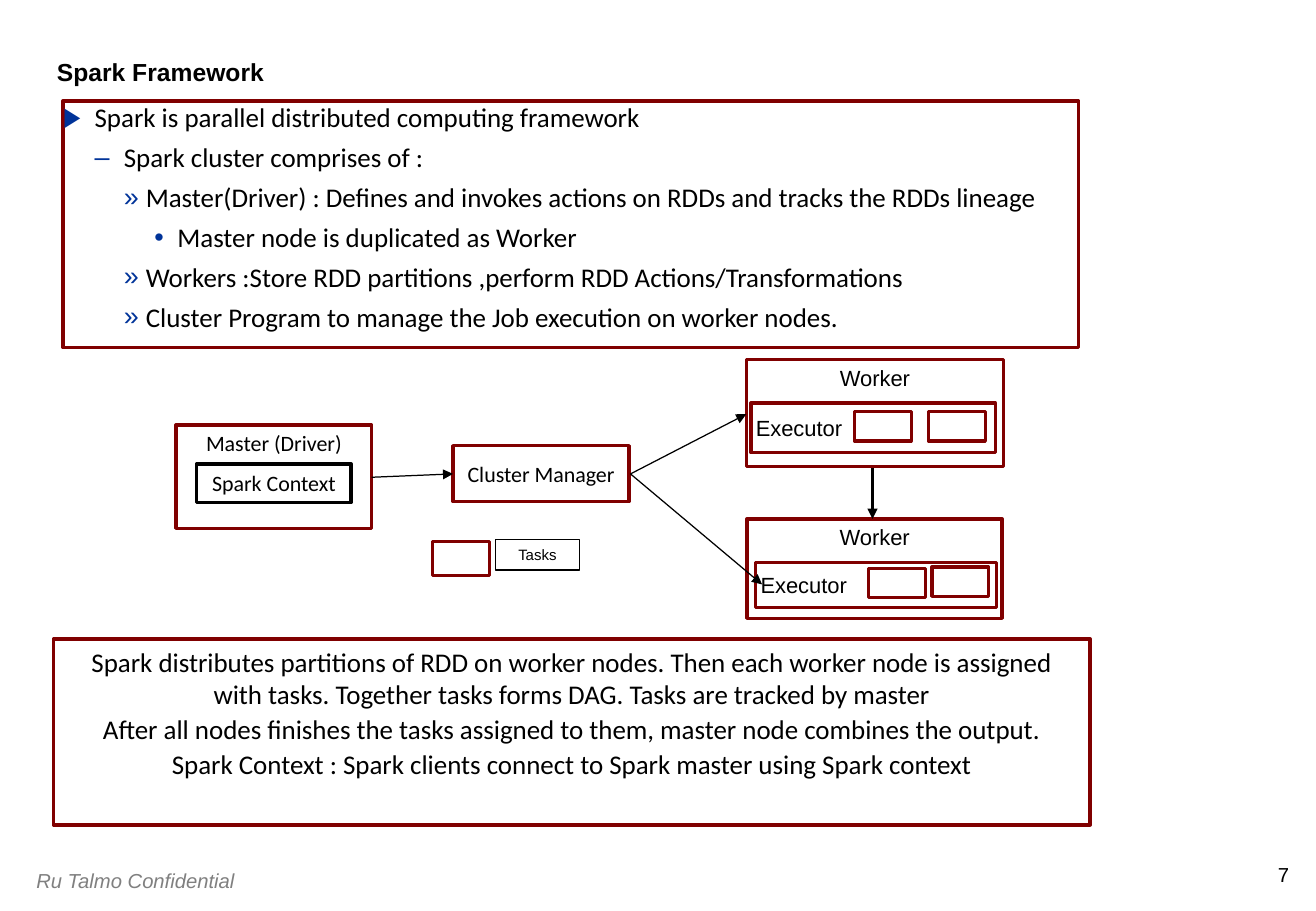
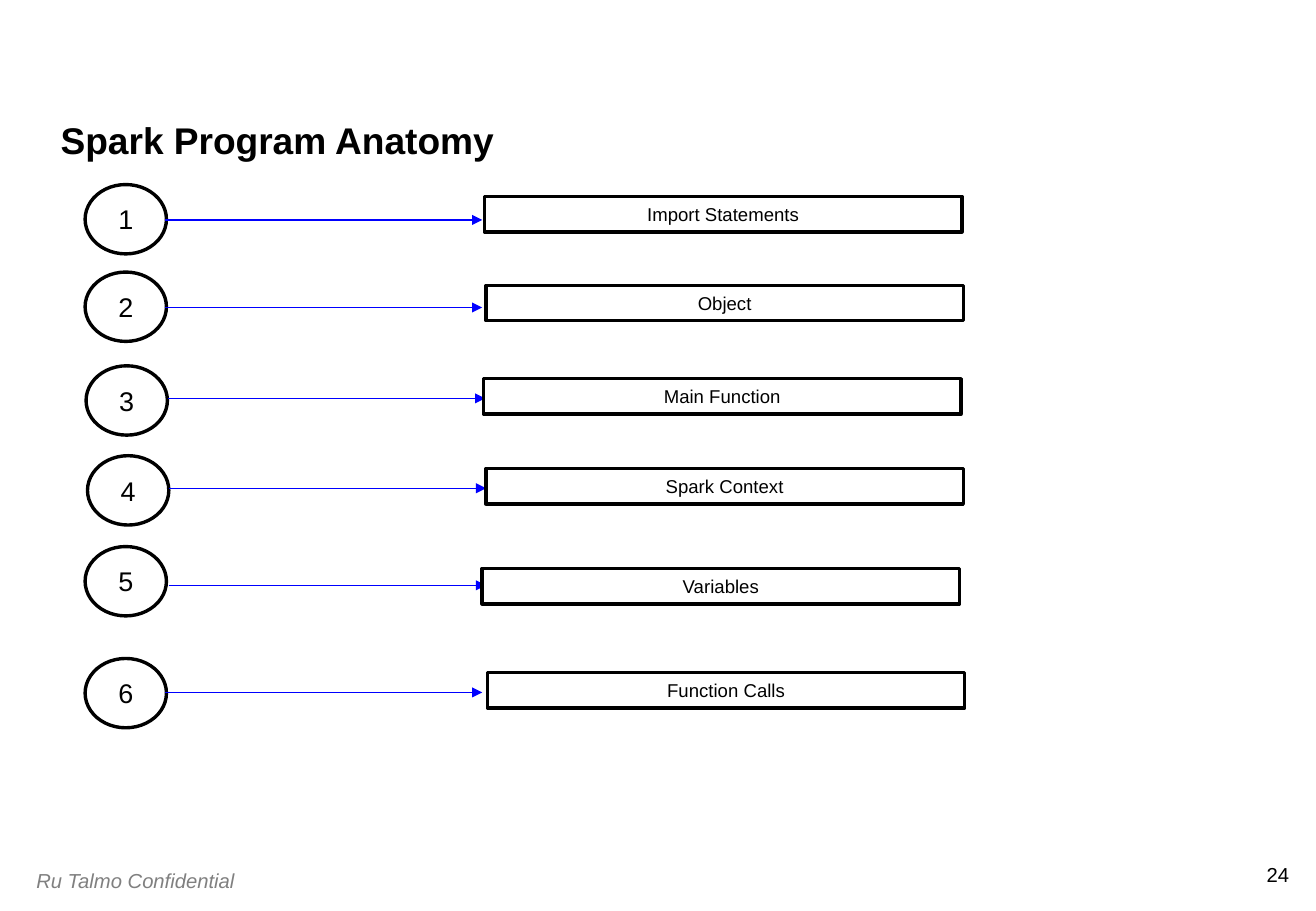
from lxml.etree import SubElement
from pptx import Presentation
from pptx.dml.color import RGBColor
from pptx.enum.shapes import MSO_CONNECTOR, MSO_SHAPE as Kind
from pptx.enum.text import MSO_ANCHOR as Anchor, PP_ALIGN as Align
from pptx.oxml.ns import qn
from pptx.util import Cm, Pt

BLACK = RGBColor(0x00, 0x00, 0x00)
WHITE = RGBColor(0xFF, 0xFF, 0xFF)
GREY = RGBColor(0x80, 0x80, 0x80)
MAROON = RGBColor(0x80, 0x00, 0x00)
BLUE = RGBColor(0x00, 0x00, 0xFF)
NAVY = RGBColor(0x00, 0x33, 0x99)


def put(slide, box, *text, kind=None, fill=WHITE, line=MAROON, width=2,
        size=13, font="Arial", color=BLACK, bold=False, italic=False,
        align=Align.CENTER, anchor=Anchor.TOP, pad=(0.1, 0.1),
        before=0, lead=1.0):
    """Place a text box, or a shape of the given kind, one paragraph per text."""
    place = [Cm(v) for v in box]
    if kind is None:
        shape = slide.shapes.add_textbox(*place)
    else:
        shape = slide.shapes.add_shape(kind, *place)
        shape.shadow.inherit = False
        if fill is None:
            shape.fill.background()
        else:
            shape.fill.solid()
            shape.fill.fore_color.rgb = fill
        shape.line.color.rgb = line
        shape.line.width = Pt(width)
    frame = shape.text_frame
    frame.word_wrap = True
    frame.vertical_anchor = anchor
    frame.margin_left = frame.margin_right = Cm(pad[0])
    frame.margin_top = frame.margin_bottom = Cm(pad[1])
    for i, words in enumerate(text):
        para = frame.add_paragraph() if i else frame.paragraphs[0]
        para.alignment = align
        para.line_spacing = lead
        para.space_before = Pt(before if i else 0)
        run = para.add_run()
        run.text = words
        run.font.size = Pt(size)
        run.font.name = font
        run.font.bold = bold
        run.font.italic = italic
        run.font.color.rgb = color
    return shape


def arrow(slide, start, end, color=BLACK, width=0.75):
    ends = [Cm(v) for v in (*start, *end)]
    link = slide.shapes.add_connector(MSO_CONNECTOR.STRAIGHT, *ends)
    link.line.color.rgb = color
    link.line.width = Pt(width)
    SubElement(link.line._get_or_add_ln(), qn("a:tailEnd"), type="triangle")
    SubElement(link._element.spPr, qn("a:effectLst"))


deck = Presentation()
deck.slide_width, deck.slide_height = Cm(27.51), Cm(19.05)

# Title, footer and page number
heads = [
    ("Spark Framework", 14.6, (1.19, 1.27, 20.27, 1.04), Anchor.TOP, "7"),
    ("Spark Program Anatomy", 22, (1.27, 1.07, 24.97, 2.34), Anchor.BOTTOM, "24"),
]
for title, size, box, anchor, page in heads:
    slide = deck.slides.add_slide(deck.slide_layouts[6])
    put(slide, (26.42, 18.03, 0.53, 0.51), page, size=12, align=Align.RIGHT,
        pad=(0, 0))
    put(slide, (0.51, 18.03, 5.08, 0.76), "Ru Talmo Confidential", size=12,
        color=GREY, italic=True, align=Align.LEFT, pad=(0.25, 0.13))
    put(slide, box, title, size=size, bold=True, align=Align.LEFT,
        anchor=anchor, pad=(0, 0), lead=0.9)
frame, steps = deck.slides

# Spark Framework: bullets
points = [
    (0, "Spark is parallel distributed computing framework"),
    (1, "Spark cluster comprises of :"),
    (2, "Master(Driver) : Defines and invokes actions on RDDs and tracks the RDDs lineage"),
    (3, "Master node is duplicated as Worker"),
    (2, "Workers :Store RDD partitions ,perform RDD Actions/Transformations"),
    (2, "Cluster Program to manage the Job execution on worker nodes."),
]
marks = [("▶", 0.66, 0.66), ("–", 1.27, 0.61), ("»", 1.73, 0.46), ("•", 2.39, 0.48)]
body = put(frame, (1.32, 2.11, 21.23, 5.16), *[words for _, words in points],
           kind=Kind.RECTANGLE, fill=None, size=16, font="Calibri",
           align=Align.LEFT, pad=(0, 0), before=6.4, lead=0.9)
body.text_frame.paragraphs[0].line_spacing = 1.0
for para, (level, _) in zip(body.text_frame.paragraphs, points):
    mark, left, hang = marks[level]
    para.level = level
    props = para._p.get_or_add_pPr()
    props.set("marL", str(Cm(left)))
    props.set("indent", str(-Cm(hang)))
    tint = SubElement(props, qn("a:buClr"))
    SubElement(tint, qn("a:srgbClr"), val=str(NAVY))
    SubElement(props, qn("a:buFont"), typeface="Arial")
    SubElement(props, qn("a:buChar"), char=mark)

# Spark Framework: cluster diagram
rect = Kind.RECTANGLE
mid = Anchor.MIDDLE
put(frame, (3.68, 8.89, 4.09, 2.16), "Master (Driver)", kind=rect, font="Calibri")
put(frame, (4.11, 9.7, 3.23, 0.81), "Spark Context", kind=rect, line=BLACK,
    font="Calibri", anchor=mid)
put(frame, (9.47, 9.32, 3.68, 1.17), "Cluster Manager", kind=rect,
    font="Calibri", anchor=mid)

nodes = [
    ((15.6, 7.52, 5.38, 2.24), (15.7, 8.43, 5.11, 1.04), [(17.86, 8.61), (19.41, 8.61)]),
    ((15.62, 10.85, 5.33, 2.08), (15.8, 11.76, 5.03, 0.94), [(18.16, 11.89), (19.48, 11.86)]),
]
for outer, inner, tasks in nodes:
    put(frame, outer, "Worker", kind=rect)
    put(frame, inner, "Executor", kind=rect, align=Align.LEFT, anchor=mid)
    for spot in tasks:
        put(frame, (*spot, 1.19, 0.61), kind=rect)

put(frame, (9.04, 11.33, 1.19, 0.71), kind=rect)
put(frame, (10.36, 11.28, 1.75, 0.64), "Tasks", kind=rect, fill=None,
    line=BLACK, width=0.75, size=8.9, pad=(0.25, 0.13))

hub = (13.18, 9.91)
arrow(frame, (7.77, 9.98), (9.47, 9.91))
arrow(frame, hub, (15.6, 8.66))
arrow(frame, hub, (15.93, 12.22))
arrow(frame, (18.24, 9.78), (18.24, 10.85), width=2)

put(frame, (1.12, 13.36, 21.67, 3.89),
    "Spark distributes partitions of RDD on worker nodes. Then each worker node "
    "is assigned with tasks. Together tasks forms DAG. Tasks are tracked by master",
    "After all nodes finishes the tasks assigned to them, master node combines the output.",
    "Spark Context : Spark clients connect to Spark master using Spark context",
    kind=rect, size=16, font="Calibri", pad=(0.25, 0.13), before=1.6)

# Spark Program Anatomy: label, circle, arrow start, label box
rows = [
    ("Import Statements", (1.78, 3.86), (3.45, 4.6), (10.13, 4.11)),
    ("Object", (1.78, 5.69), (3.45, 6.43), (10.16, 5.97)),
    ("Main Function", (1.8, 7.65), (3.51, 8.33), (10.11, 7.92)),
    ("Spark Context", (1.83, 9.53), (3.53, 10.21), (10.16, 9.8)),
    ("Variables", (1.78, 11.43), (3.53, 12.24), (10.08, 11.89)),
    ("Function Calls", (1.78, 13.77), (3.45, 14.48), (10.19, 14.07)),
]
for num, (label, disc, (x, y), spot) in enumerate(rows, 1):
    put(steps, (*disc, 1.7, 1.45), str(num), kind=Kind.OVAL, line=BLACK,
        size=16, anchor=mid)
    arrow(steps, (x, y), (x + 6.63, y), color=BLUE)
    put(steps, (*spot, 9.98, 0.74), label, kind=rect, line=BLACK, size=11,
        pad=(0.25, 0.13))

deck.save("out.pptx")
